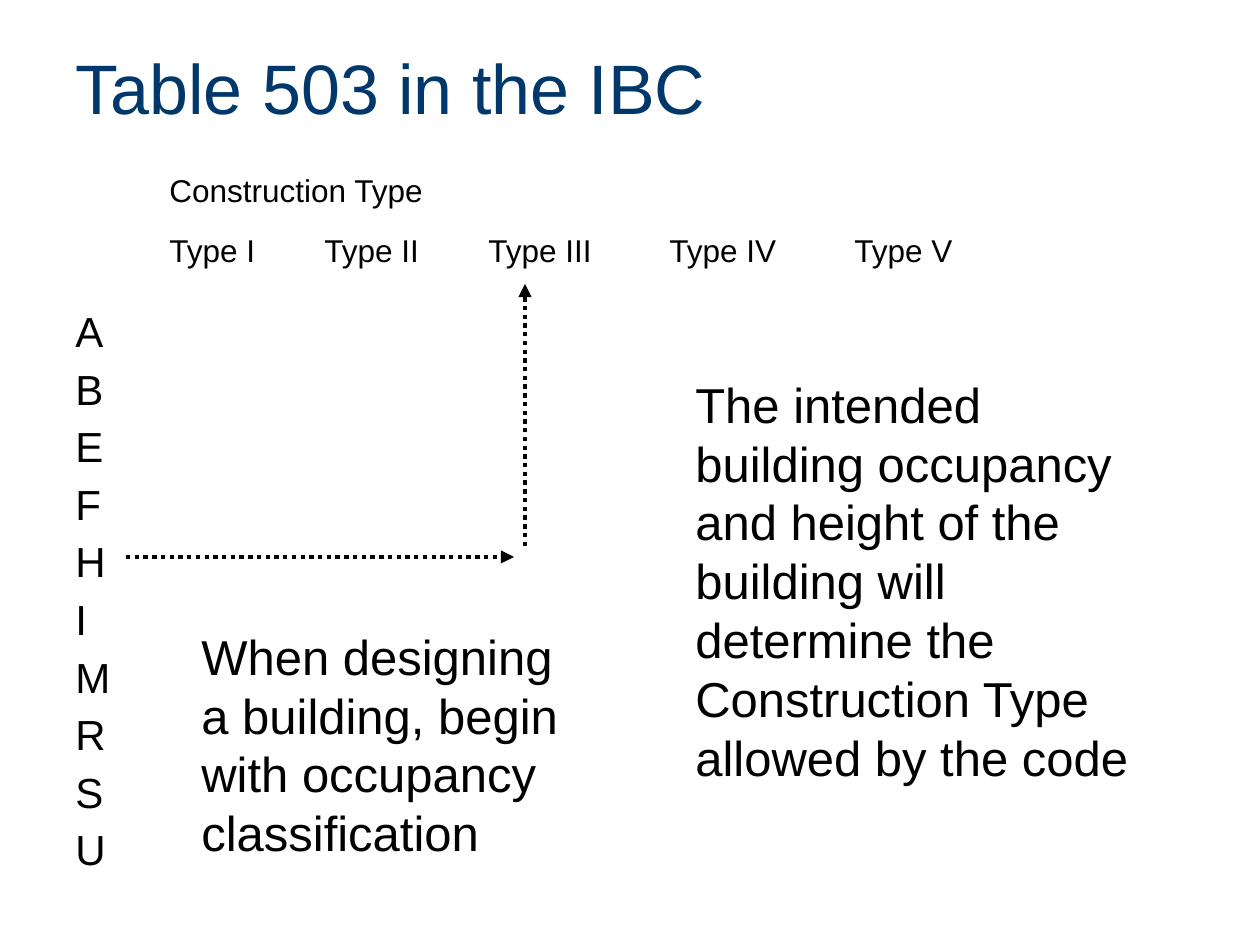
from lxml import etree
from pptx import Presentation
from pptx import util as u
from pptx.dml.color import RGBColor
from pptx.enum import dml, shapes, text
from pptx.oxml import ns

EMU_PER_PX = 7257
FONT = "Arial"
NAVY = RGBColor(0x00, 0x38, 0x6B)
BLACK = RGBColor(0x00, 0x00, 0x00)

OCCUPANCY_GROUPS = "ABEFHIMRSU"
CONSTRUCTION_TYPES = ["Type I", "Type II", "Type III", "Type IV", "Type V"]
TYPE_TAB_STOPS = [155, 319, 500, 685]


def px(length):
    return u.Emu(length * EMU_PER_PX)


def format_runs(text_frame, size, color):
    for paragraph in text_frame.paragraphs:
        for run in paragraph.runs:
            run.font.name = FONT
            run.font.size = u.Pt(size)
            run.font.color.rgb = color


def set_title(slide, title, left, top, width, height):
    shape = slide.shapes.title
    shape.left, shape.top = px(left), px(top)
    shape.width, shape.height = px(width), px(height)
    text_frame = shape.text_frame
    text_frame.text = title
    text_frame.auto_size = text.MSO_AUTO_SIZE.NONE
    text_frame.vertical_anchor = text.MSO_ANCHOR.MIDDLE
    text_frame.paragraphs[0].alignment = text.PP_ALIGN.LEFT
    format_runs(text_frame, 40, NAVY)


def add_text(slide, lines, left, top, width, height, size,
             space_before=0, line_spacing=1.0):
    shape = slide.shapes.add_textbox(px(left), px(top), px(width), px(height))
    text_frame = shape.text_frame
    text_frame.word_wrap = True
    text_frame.text = "\n".join(lines)
    for index, paragraph in enumerate(text_frame.paragraphs):
        paragraph.line_spacing = line_spacing
        if index:
            paragraph.space_before = u.Pt(space_before)
    format_runs(text_frame, size, BLACK)
    return shape


def add_tab_stops(paragraph, positions):
    properties = paragraph._p.get_or_add_pPr()
    tab_list = etree.SubElement(properties, ns.qn("a:tabLst"))
    for position in positions:
        etree.SubElement(tab_list, ns.qn("a:tab"),
                         pos=str(px(position)), algn="l")


def add_dotted_arrow(slide, start, end):
    connector = slide.shapes.add_connector(
        shapes.MSO_CONNECTOR.STRAIGHT, *map(px, start + end))
    connector.line.color.rgb = BLACK
    connector.line.width = u.Pt(2.5)
    connector.line.dash_style = dml.MSO_LINE.ROUND_DOT
    line = connector.line._get_or_add_ln()
    etree.SubElement(line, ns.qn("a:tailEnd"), type="triangle")
    etree.SubElement(connector._element.spPr, ns.qn("a:effectLst"))


def main():
    presentation = Presentation()
    presentation.slide_width = u.Inches(10)
    presentation.slide_height = u.Inches(7.5)
    slide = presentation.slides.add_slide(presentation.slide_layouts[5])

    set_title(slide, "Table 503 in the IBC", 63, 38, 1134, 98)
    add_text(slide, OCCUPANCY_GROUPS, 63, 305, 63, 571, 24,
             space_before=7, line_spacing=0.9)
    header = add_text(
        slide, ["Construction Type", "\t".join(CONSTRUCTION_TYPES)],
        157, 165, 977, 108, 18, space_before=12.5)
    add_tab_stops(header.text_frame.paragraphs[1], TYPE_TAB_STOPS)

    add_dotted_arrow(slide, (126, 557), (514, 557))
    add_dotted_arrow(slide, (525, 546), (525, 284))

    add_text(slide, ["When designing a building, begin with occupancy "
                     "classification"], 189, 620, 399, 248, 28)
    add_text(slide, ["The intended building occupancy and height of the "
                     "building will determine the Construction Type allowed "
                     "by the code"], 683, 368, 472, 425, 28)

    presentation.save("out.pptx")


if __name__ == "__main__":
    main()
